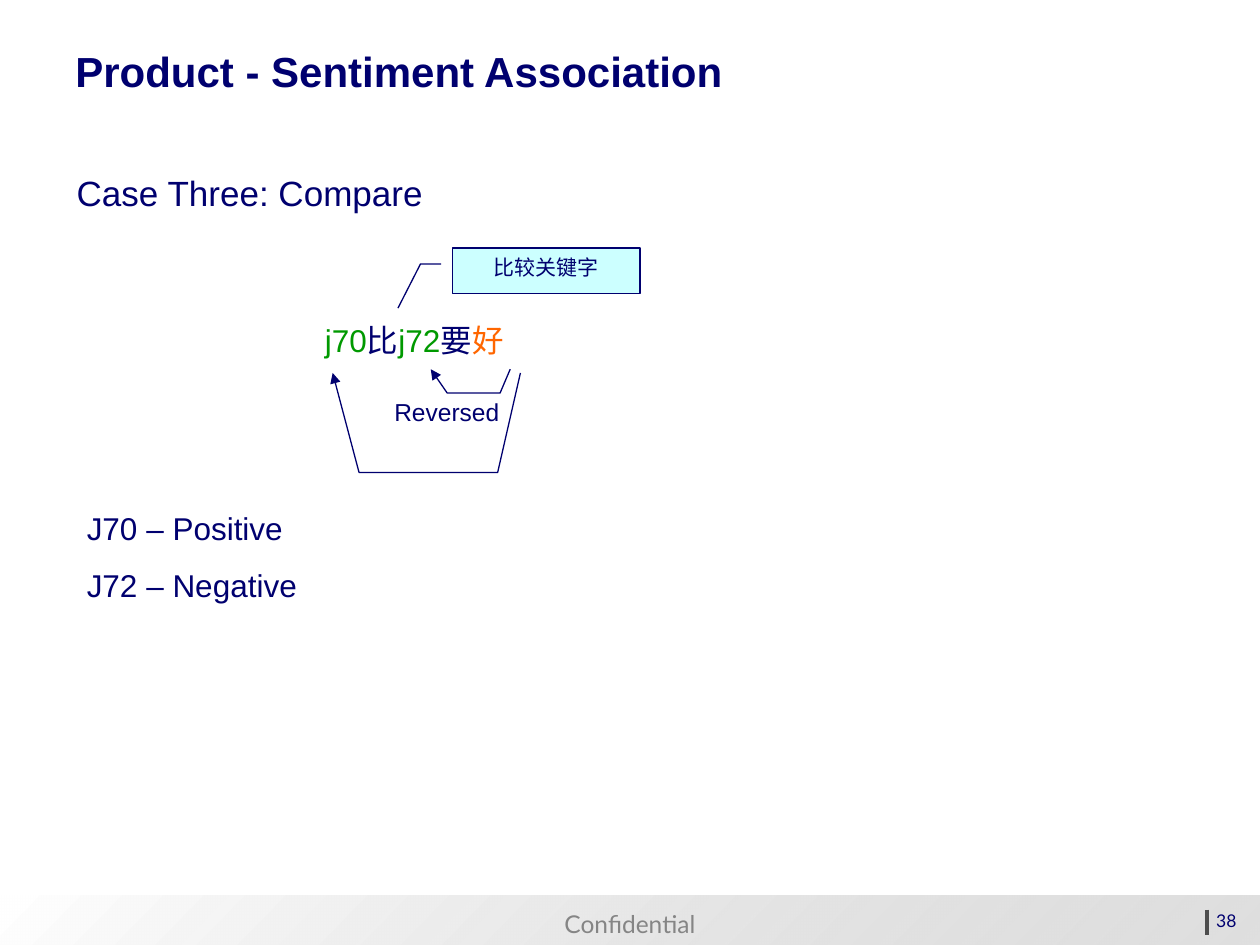
from dataclasses import dataclass
from typing import Any

from lxml.etree import SubElement
from pptx import Presentation
from pptx.dml.color import RGBColor
from pptx.enum.shapes import MSO_CONNECTOR, MSO_SHAPE
from pptx.enum.text import MSO_ANCHOR, PP_ALIGN
from pptx.oxml.ns import qn
from pptx.util import Pt


def color(value):
    return RGBColor.from_string(value)


def write(para, text, font="Arial", size=18, fill="00006F", bold=False):
    span = para.add_run()
    span.text = text
    span.font.name = font
    span.font.size = Pt(size)
    span.font.bold = bold
    span.font.color.rgb = color(fill)


@dataclass
class Sheet:
    page: Any
    ink: str = "00006F"
    thin: float = 0.75

    def lines(self, frame, texts, align=PP_ALIGN.LEFT, gap=0, **style):
        for index, text in enumerate(texts):
            para = frame.add_paragraph() if index else frame.paragraphs[0]
            para.alignment = align
            if index:
                para.space_before = Pt(gap)
            write(para, text, **style)

    def text(self, place, *texts, anchor=MSO_ANCHOR.TOP, wrap=True, **style):
        box = self.page.shapes.add_textbox(*map(Pt, place))
        frame = box.text_frame
        frame.word_wrap = wrap
        frame.vertical_anchor = anchor
        self.lines(frame, texts, **style)

    def sentence(self, place, spans):
        box = self.page.shapes.add_textbox(*map(Pt, place))
        box.text_frame.word_wrap = True
        para = box.text_frame.paragraphs[0]
        para.line_spacing = 0.9
        for text, fill in spans:
            write(para, text, fill=fill)

    def band(self, place, start, end, opacity):
        shape = self.page.shapes.add_shape(MSO_SHAPE.RECTANGLE, *map(Pt, place))
        shape.shadow.inherit = False
        shape.line.fill.background()
        shape.fill.gradient()
        shape.fill.gradient_angle = 315
        for stop, value in zip(shape.fill.gradient_stops, (start, end)):
            stop.color.rgb = color(value)
        last = list(shape._element.iter(qn("a:srgbClr")))[-1]
        SubElement(last, qn("a:alpha"), val=str(opacity * 1000))

    def rule(self, start, end, fill, width):
        line = self.page.shapes.add_connector(
            MSO_CONNECTOR.STRAIGHT, *map(Pt, start + end)
        )
        line.line.color.rgb = color(fill)
        line.line.width = Pt(width)
        SubElement(line._element.spPr, qn("a:effectLst"))

    def arrow(self, *points):
        first, *rest = [(Pt(x), Pt(y)) for x, y in points]
        builder = self.page.shapes.build_freeform(*first)
        builder.add_line_segments(rest, close=False)
        shape = builder.convert_to_shape()
        shape.shadow.inherit = False
        shape.fill.background()
        shape.line.color.rgb = color(self.ink)
        shape.line.width = Pt(self.thin)
        SubElement(shape.line._get_or_add_ln(), qn("a:tailEnd"), type="triangle")

    def callout(self, place, text, leader, fill):
        shape = self.page.shapes.add_shape(MSO_SHAPE.LINE_CALLOUT_2, *map(Pt, place))
        shape.shadow.inherit = False
        for index, value in enumerate(leader):
            shape.adjustments[index] = value
        shape.fill.solid()
        shape.fill.fore_color.rgb = color(fill)
        shape.line.color.rgb = color(self.ink)
        shape.line.width = Pt(self.thin)
        shape.text_frame.word_wrap = True
        shape.text_frame.vertical_anchor = MSO_ANCHOR.TOP
        self.lines(shape.text_frame, [text], align=PP_ALIGN.CENTER, size=12)


def main():
    deck = Presentation()
    deck.slide_width, deck.slide_height = Pt(720), Pt(540)
    sheet = Sheet(deck.slides.add_slide(deck.slide_layouts[6]))

    footer = (0, 512, 720, 28)
    sheet.band(footer, "FFFFFF", "C0C0C0", opacity=50)
    sheet.text(footer, "Confidential", anchor=MSO_ANCHOR.BOTTOM, wrap=False,
               align=PP_ALIGN.CENTER, font="Lato", size=14, fill="858585")
    sheet.rule((689.8, 519.8), (689.8, 534.2), "4D4D4D", 2)
    sheet.text((545.8, 516.2, 167.8, 20.2), "38",
               align=PP_ALIGN.RIGHT, font="Lato", size=10)

    sheet.text((36, 22.3, 648, 36), "Product - Sentiment Association",
               anchor=MSO_ANCHOR.MIDDLE, size=24, bold=True)
    sheet.text((36.7, 94.3, 634.3, 31), "Case Three: Compare", size=20)

    product, opinion = "009900", "FF6600"
    sheet.sentence((178.6, 182.2, 170, 28), [
        ("j70", product), ("比", sheet.ink), ("j72", product),
        ("要", sheet.ink), ("好", opinion),
    ])
    sheet.arrow((291.6, 211), (285.8, 224.6), (255.6, 224.6), (246.2, 211))
    sheet.arrow((297.4, 213.1), (284.4, 270), (205.2, 270), (190.1, 213.1))
    sheet.text((218.2, 223.2, 85, 24.5), "Reversed", size=14)
    sheet.callout((258.5, 141.8, 107.3, 26), "比较关键字",
                  (0.35, -0.06, 0.35, -0.17, 1.32, -0.29), "CCFFFF")

    sheet.text((42.5, 287.3, 634.3, 82.8), "J70 – Positive", "J72 – Negative", gap=11.2)
    deck.save("out.pptx")


if __name__ == "__main__":
    main()
